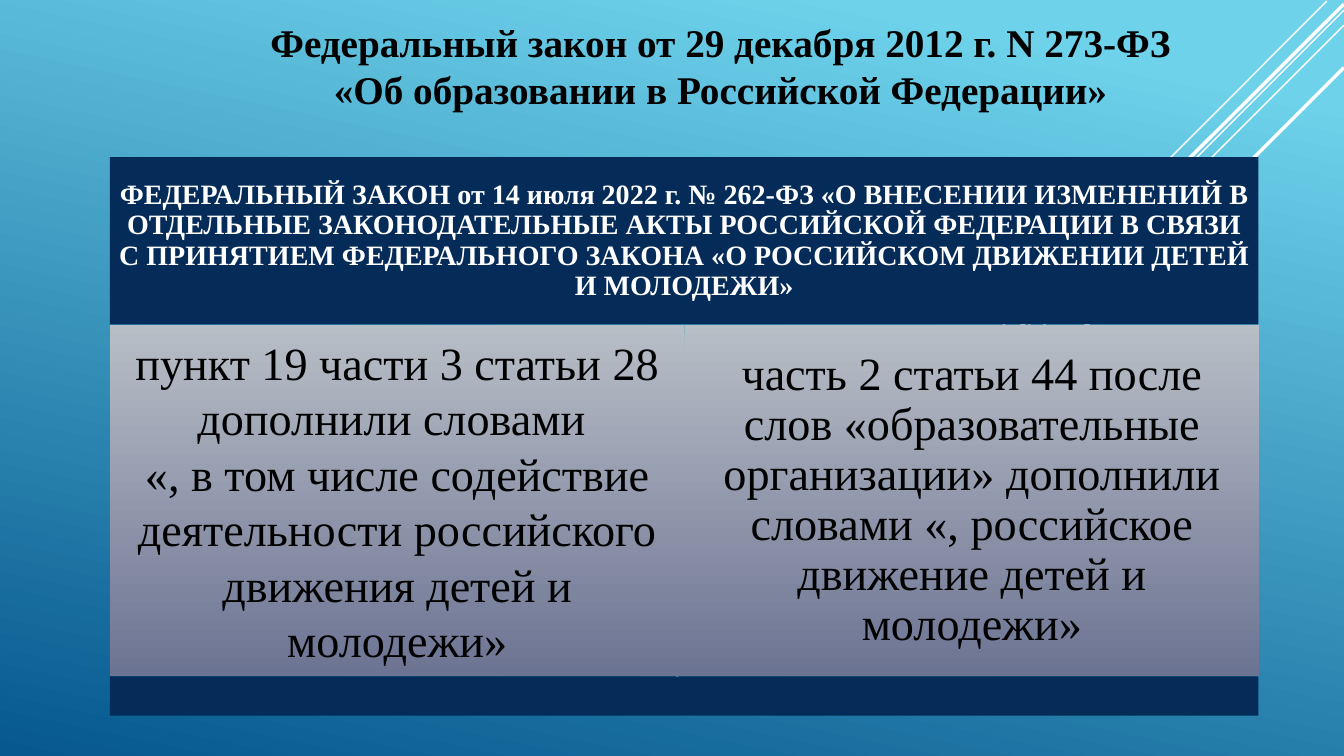
from pptx import Presentation
from pptx.dml.color import RGBColor
from pptx.enum.shapes import MSO_CONNECTOR as Conn, MSO_SHAPE as Shape
from pptx.enum.text import MSO_ANCHOR as Anchor, PP_ALIGN as Align
from pptx.oxml import parse_xml
from pptx.util import Inches, Pt

NAVY = RGBColor(0x05, 0x2B, 0x58)
WHITE = RGBColor(0xFF, 0xFF, 0xFF)
BLACK = RGBColor(0, 0, 0)
SILVER = RGBColor(0xB8, 0xBE, 0xC6)
SLATE = RGBColor(0x6C, 0x74, 0x93)
SKY = RGBColor(0x6E, 0xD2, 0xEB)
SEA = RGBColor(0x06, 0x58, 0x8E)
A_NS = "http://schemas.openxmlformats.org/drawingml/2006/main"


class Deck:
    face = "Times New Roman"

    def __init__(self, width, height):
        self.prs = Presentation()
        self.prs.slide_width = Inches(width)
        self.prs.slide_height = Inches(height)
        self.slide = self.prs.slides.add_slide(self.prs.slide_layouts[6])

    def blend(self, fill, stops, angle):
        fill.gradient()
        fill.gradient_angle = angle
        for stop, (place, color) in zip(fill.gradient_stops, stops):
            stop.position = place
            stop.color.rgb = color

    def ray(self, start, end, width):
        line = self.slide.shapes.add_connector(
            Conn.STRAIGHT, *map(Inches, start + end))
        line.line.color.rgb = WHITE
        line.line.width = Pt(width)
        line._element.spPr.append(parse_xml(f'<a:effectLst xmlns:a="{A_NS}"/>'))

    def label(self, shape, texts, size, color, bold=False, inset=None,
              anchor=Anchor.MIDDLE, space=None):
        frame = shape.text_frame
        form = {"word_wrap": True, "vertical_anchor": anchor}
        if inset is not None:
            for side in ("left", "top", "right", "bottom"):
                form[f"margin_{side}"] = Inches(inset)
        for name, value in form.items():
            setattr(frame, name, value)
        style = {"name": self.face, "size": Pt(size), "bold": bold}
        for i, text in enumerate(texts):
            para = frame.paragraphs[0] if i == 0 else frame.add_paragraph()
            para.text = text
            para.alignment = Align.CENTER
            para.line_spacing = space
            for font in [para.font] + [run.font for run in para.runs]:
                for name, value in style.items():
                    setattr(font, name, value)
                font.color.rgb = color

    def title(self, box, text):
        shape = self.slide.shapes.add_textbox(*map(Inches, box))
        self.label(shape, [text], 28, BLACK, True, anchor=Anchor.TOP)

    def block(self, box):
        shape = self.slide.shapes.add_shape(Shape.RECTANGLE, *map(Inches, box))
        shape.shadow.inherit = False
        shape.line.fill.background()
        return shape

    def band(self, box):
        shape = self.block(box)
        shape.fill.solid()
        shape.fill.fore_color.rgb = NAVY
        return shape

    def panel(self, box, texts, space=None):
        shape = self.block(box)
        self.blend(shape.fill, [(0, SILVER), (1, SLATE)], 270)
        self.label(shape, texts, 33, BLACK, inset=0.14, space=space)


def main():
    deck = Deck(13.33, 7.5)
    deck.blend(deck.slide.background.fill, [(0.1, SKY), (1, SEA)], 258)

    for start, end, width in [
        ((13.16, 0.01), (9, 4.18), 1),
        ((13.33, 0.1), (6.68, 6.75), 1),
        ((13.33, 0.25), (7.91, 5.67), 1),
        ((13.33, 0.04), (8.02, 5.34), 2.5),
        ((13.33, 0.67), (8.58, 5.42), 2.5),
    ]:
        deck.ray(start, end, width)

    deck.title((2.27, 0.13, 9.75, 1.04),
               "Федеральный закон от 29 декабря 2012 г. N 273-ФЗ\v"
               "«Об образовании в Российской Федерации»")

    left, width, half = 1.09, 11.39, 5.7
    top, mid, low = 1.56, 3.22, 6.71
    head = deck.band((left, top, width, mid - top))
    deck.label(head, [
        "ФЕДЕРАЛЬНЫЙ ЗАКОН от 14 июля 2022 г. № 262-ФЗ «О ВНЕСЕНИИ "
        "ИЗМЕНЕНИЙ В ОТДЕЛЬНЫЕ ЗАКОНОДАТЕЛЬНЫЕ АКТЫ РОССИЙСКОЙ ФЕДЕРАЦИИ "
        "В СВЯЗИ С ПРИНЯТИЕМ ФЕДЕРАЛЬНОГО ЗАКОНА «О РОССИЙСКОМ ДВИЖЕНИИ "
        "ДЕТЕЙ И МОЛОДЕЖИ»"], 20, WHITE, True, 0.08, space=0.9)

    deck.panel((left, mid, half, low - mid), [
        "пункт 19 части 3 статьи 28 дополнили словами ",
        "«, в том числе содействие деятельности российского движения "
        "детей и молодежи»"])
    deck.panel((left + half, mid, half, low - mid), [
        "часть 2 статьи 44 после слов «образовательные организации» "
        "дополнили словами «, российское движение детей и молодежи»"], 0.9)
    deck.band((left, low, width, 0.39))

    deck.prs.save("out.pptx")


if __name__ == "__main__":
    main()
